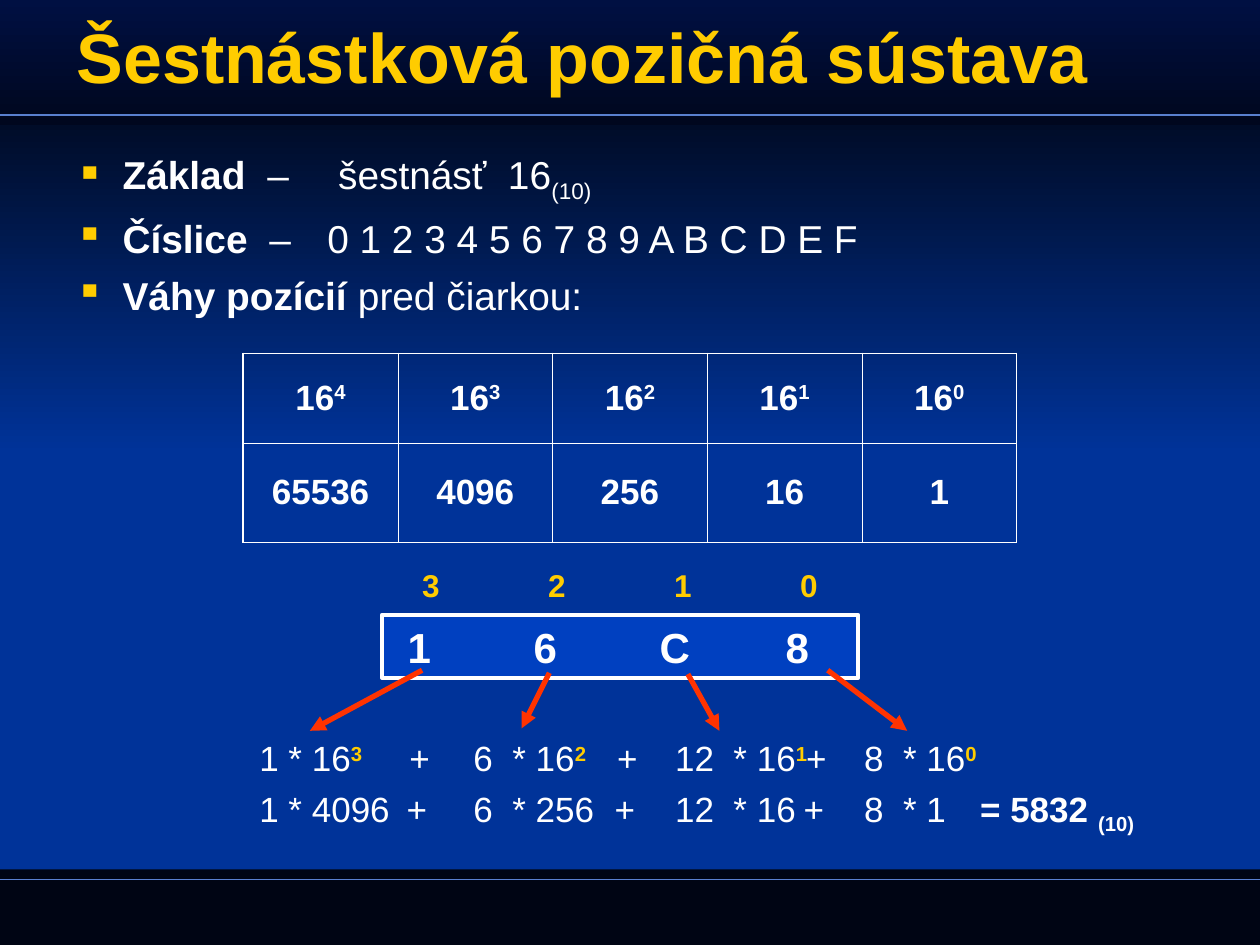
from dataclasses import dataclass
from typing import NamedTuple

from lxml.etree import SubElement
from pptx import Presentation
from pptx.dml.color import RGBColor
from pptx.enum.shapes import MSO_CONNECTOR, MSO_SHAPE
from pptx.enum.text import MSO_ANCHOR, PP_ALIGN
from pptx.oxml.ns import qn
from pptx.util import Pt


@dataclass(frozen=True)
class Theme:
    font: str = "Arial"
    background: str = "003399"
    night: str = "000514"
    header_top: str = "001042"
    header_bottom: str = "00071E"
    rule: str = "5980CF"
    accent: str = "FFCC00"
    text: str = "FFFFFF"
    panel: str = "0040C0"
    arrow: str = "FF3300"
    title_size: float = 40
    digit_size: float = 24
    body_size: float = 22.2
    term_size: float = 20
    index_size: float = 18


class Area(NamedTuple):
    left: float
    top: float
    width: float
    height: float


class Span(NamedTuple):
    text: str
    bold: bool = False
    baseline: int = 0
    color: str = ""


class Term(NamedTuple):
    left: float
    width: float
    factor: str
    exponent: str
    weight: str


class Arrow(NamedTuple):
    start_x: float
    start_y: float
    end_x: float
    end_y: float


THEME = Theme()
PAGE_WIDTH, PAGE_HEIGHT = 720, 540
SUPERSCRIPT, SUBSCRIPT = 30, -25
TERMS_TOP, PRODUCTS_TOP, TERM_HEIGHT = 417.6, 446.4, 31.7
BULLETS = [
    [Span("Základ  ", True), Span("–\t šestnásť  16"), Span("(10)", baseline=SUBSCRIPT)],
    [Span("Číslice", True), Span("  – \t0 1 2 3 4 5 6 7 8 9 A B C D E F")],
    [Span("Váhy pozícií", True), Span(" pred čiarkou:")],
]
WEIGHTS = [(str(power), str(16 ** power)) for power in range(4, -1, -1)]
TERMS = [
    Term(141.1, 96.5, "1 * ", "3", "4096"),
    Term(263.5, 90.7, "6  * ", "2", "256"),
    Term(378.7, 90.7, "12  * ", "1", "16"),
    Term(486.7, 90.7, "8  * ", "0", "1"),
]
PLUS_LEFTS = [226.8, 345.6, 453.6]
ARROWS = [
    Arrow(241.2, 383, 177.1, 417.6),
    Arrow(313.9, 384.5, 298.1, 416.2),
    Arrow(393.1, 385.2, 411.1, 417.6),
    Arrow(473, 383, 518.4, 417.6),
]


def points(*lengths: float) -> list:
    return [Pt(length) for length in lengths]


def write_spans(para, spans: list, size: float) -> None:
    for span in spans:
        run = para.add_run()
        run.text = span.text
        run.font.name = THEME.font
        run.font.size = Pt(size)
        run.font.bold = span.bold
        run.font.color.rgb = RGBColor.from_string(span.color or THEME.text)
        if span.baseline:
            run._r.get_or_add_rPr().set("baseline", str(span.baseline * 1000))


def add_tabs(para) -> None:
    tabs = SubElement(para._p.get_or_add_pPr(), qn("a:tabLst"))
    for stop in range(1, 9):
        SubElement(tabs, qn("a:tab"), pos=str(Pt(72 * stop)), algn="l")


def add_text(page, area: Area, spans: list, size: float, anchor=MSO_ANCHOR.TOP):
    box = page.shapes.add_textbox(*points(*area))
    box.text_frame.word_wrap = True
    box.text_frame.vertical_anchor = anchor
    write_spans(box.text_frame.paragraphs[0], spans, size)
    return box


def add_band(page, area: Area, *colors: str):
    band = page.shapes.add_shape(MSO_SHAPE.RECTANGLE, *points(*area))
    band.shadow.inherit = False
    band.line.fill.background()
    if len(colors) == 1:
        band.fill.solid()
        band.fill.fore_color.rgb = RGBColor.from_string(colors[0])
    else:
        band.fill.gradient()
        band.fill.gradient_angle = 270
        for stop, color in zip(band.fill.gradient_stops, colors):
            stop.color.rgb = RGBColor.from_string(color)
    return band


def add_line(page, course: Arrow, color: str, width: float, head: bool = False) -> None:
    line = page.shapes.add_connector(MSO_CONNECTOR.STRAIGHT, *points(*course))
    line.line.color.rgb = RGBColor.from_string(color)
    line.line.width = Pt(width)
    if head:
        SubElement(line.line._get_or_add_ln(), qn("a:tailEnd"), type="triangle")
    SubElement(line._element.spPr, qn("a:effectLst"))


def add_bullets(page, area: Area) -> None:
    box = add_text(page, area, [], THEME.body_size)
    frame = box.text_frame
    for index, spans in enumerate(BULLETS):
        para = frame.add_paragraph() if index else frame.paragraphs[0]
        if index:
            para.space_before = Pt(6)
        properties = para._p.get_or_add_pPr()
        properties.set("marL", str(Pt(27)))
        properties.set("indent", str(Pt(-27)))
        SubElement(SubElement(properties, qn("a:buClr")), qn("a:srgbClr"), val=THEME.accent)
        SubElement(properties, qn("a:buChar"), char="▪")
        add_tabs(para)
        write_spans(para, spans, THEME.body_size)


def set_border(cell, outer_sides: set) -> None:
    properties = cell._tc.get_or_add_tcPr()
    for index, side in enumerate("LRTB"):
        width = 1.08 if side in outer_sides else 0.45
        border = properties.makeelement(qn(f"a:ln{side}"), {"w": str(Pt(width))})
        SubElement(SubElement(border, qn("a:solidFill")), qn("a:srgbClr"), val=THEME.text)
        properties.insert(index, border)


def add_weights(page, area: Area) -> None:
    table = page.shapes.add_table(2, len(WEIGHTS), *points(*area)).table
    table.first_row = table.horz_banding = False
    table.rows[0].height, table.rows[1].height = points(51.2, 56.8)
    for column, (power, value) in enumerate(WEIGHTS):
        table.columns[column].width = Pt(area.width / len(WEIGHTS))
        contents = [[Span("16", True), Span(power, True, SUPERSCRIPT)], [Span(value, True)]]
        for row, spans in enumerate(contents):
            cell = table.cell(row, column)
            cell.fill.background()
            cell.vertical_anchor = MSO_ANCHOR.MIDDLE
            cell.margin_left = cell.margin_right = Pt(3)
            para = cell.text_frame.paragraphs[0]
            para.alignment = PP_ALIGN.CENTER
            write_spans(para, spans, THEME.term_size)
            sides = {"B" if row else "T"}
            sides |= {"L"} if column == 0 else set()
            sides |= {"R"} if column == len(WEIGHTS) - 1 else set()
            set_border(cell, sides)


def add_number(page) -> None:
    panel = add_band(page, Area(218.2, 351.4, 272.2, 36), THEME.panel)
    panel.line.color.rgb = RGBColor.from_string(THEME.text)
    panel.line.width = Pt(2.25)
    panel.text_frame.vertical_anchor = MSO_ANCHOR.TOP
    write_spans(panel.text_frame.paragraphs[0], [Span("1\t6\tC\t8  ", True)], THEME.digit_size)
    indices = add_text(page, Area(215.3, 319.7, 277.9, 28.8),
                       [Span("3\t2\t1\t0", True, color=THEME.accent)], THEME.index_size)
    for box in (panel, indices):
        para = box.text_frame.paragraphs[0]
        para.alignment = PP_ALIGN.CENTER
        add_tabs(para)


def add_expansion(page) -> None:
    for left, width, factor, exponent, weight in TERMS:
        power = [Span(f"{factor}16"), Span(exponent, True, SUPERSCRIPT, THEME.accent)]
        add_text(page, Area(left, TERMS_TOP, width, TERM_HEIGHT), power, THEME.term_size)
        add_text(page, Area(left, PRODUCTS_TOP, width, TERM_HEIGHT),
                 [Span(factor + weight)], THEME.term_size)
    for left in PLUS_LEFTS:
        for offset, top in ((0, TERMS_TOP), (-1.5, PRODUCTS_TOP)):
            add_text(page, Area(left + offset, top, 28, TERM_HEIGHT), [Span("+")], THEME.term_size)
    add_text(page, Area(553, PRODUCTS_TOP, 124.6, 34.6),
             [Span("= 5832 ", True), Span("(10)", True, SUBSCRIPT)], THEME.term_size)


def main() -> None:
    deck = Presentation()
    deck.slide_width, deck.slide_height = points(PAGE_WIDTH, PAGE_HEIGHT)
    page = deck.slides.add_slide(deck.slide_layouts[6])
    page.background.fill.solid()
    page.background.fill.fore_color.rgb = RGBColor.from_string(THEME.background)
    add_band(page, Area(0, 496.8, PAGE_WIDTH, 43.2), THEME.night)
    add_band(page, Area(0, 37.4, PAGE_WIDTH, 221.8), THEME.night, THEME.background)
    add_band(page, Area(0, 0, PAGE_WIDTH, 71.3), THEME.header_top, THEME.header_bottom)
    for height in (65.8, 502.6):
        add_line(page, Arrow(0, height, PAGE_WIDTH, height), THEME.rule, 1)
    add_text(page, Area(36.7, 4.3, 648, 55.4),
             [Span("Šestnástková pozičná sústava", True, color=THEME.accent)],
             THEME.title_size, MSO_ANCHOR.MIDDLE)
    add_bullets(page, Area(36, 82.8, 648, 108))
    add_weights(page, Area(139, 202, 442, 108))
    add_number(page)
    add_expansion(page)
    for arrow in ARROWS:
        add_line(page, arrow, THEME.arrow, 3, head=True)
    deck.save("out.pptx")


if __name__ == "__main__":
    main()
